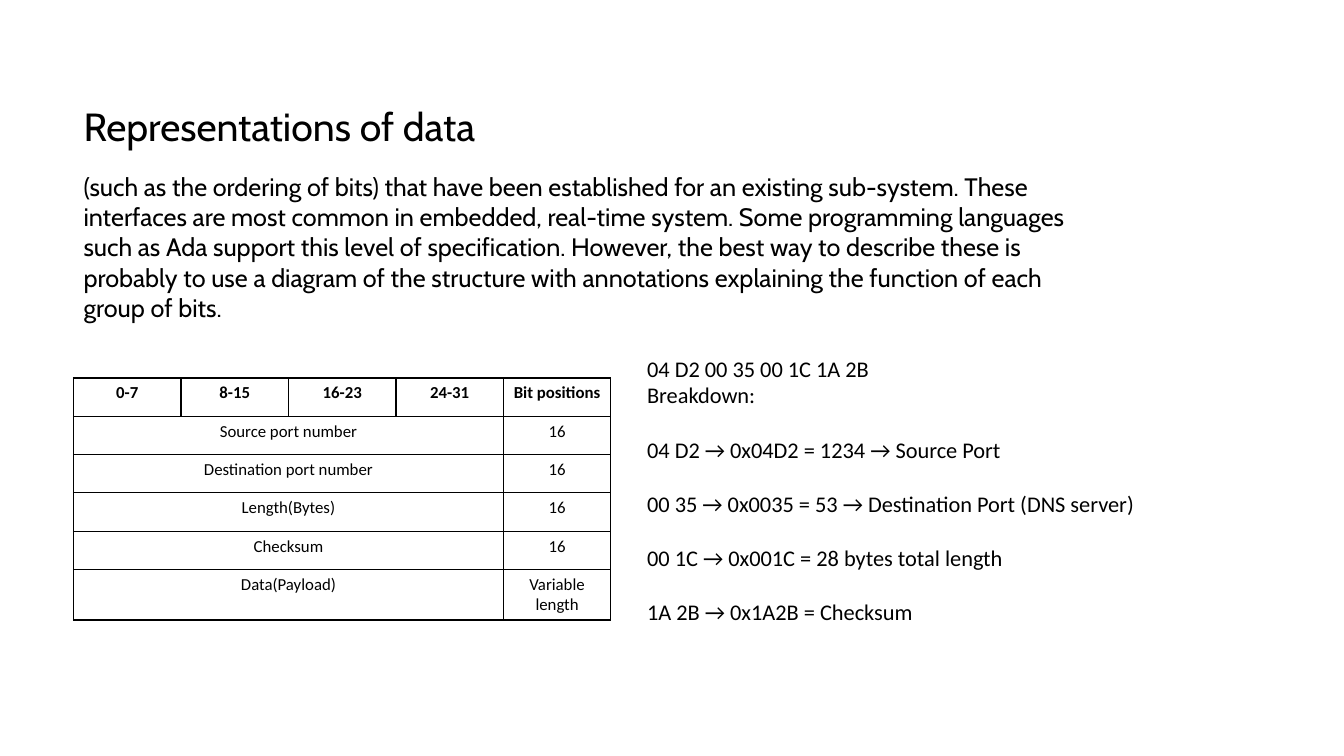
from lxml import etree
from pptx import Presentation, util as u
from pptx.dml.color import RGBColor
from pptx.enum import text
from pptx.oxml.ns import qn

THEME = dict(ink="000000", heading="Cabin", plain="Calibri",
             title=28, body=18, notes=16, cell=12, rule=1)
LEFT = 0.73

prs = Presentation()
prs.slide_width, prs.slide_height = u.Inches(13.33), u.Inches(7.5)
s = prs.slides.add_slide(prs.slide_layouts[6])


def write(tf, paragraphs, font, size, bold=False, align=None, gap_from=None):
    """Fill a text frame; paragraphs from index gap_from on get one line of space before."""
    tf.word_wrap = True
    for i, line in enumerate(paragraphs):
        p = tf.paragraphs[0] if i == 0 else tf.add_paragraph()
        p.alignment = align
        if gap_from and i >= gap_from:
            p.space_before = u.Pt(size * 1.22)
        r = p.add_run()
        r.text = line
        r.font.name, r.font.size, r.font.bold = font, u.Pt(size), bold
        r.font.color.rgb = RGBColor.from_string(THEME["ink"])


def draw_borders(cell):
    tcPr = cell._tc.get_or_add_tcPr()
    for side in ("lnL", "lnR", "lnT", "lnB"):
        ln = etree.SubElement(tcPr, qn(f"a:{side}"), w=str(u.Pt(THEME["rule"])))
        fill = etree.SubElement(ln, qn("a:solidFill"))
        etree.SubElement(fill, qn("a:srgbClr"), val=THEME["ink"])


description = (
    "(such as the ordering of bits) that have been established for an existing sub-system. "
    "These interfaces are most common in embedded, real-time system. Some programming "
    "languages such as Ada support this level of specification. However, the best way to "
    "describe these is probably to use a diagram of the structure with annotations "
    "explaining the function of each group of bits."
)
breakdown = [
    "04 D2 00 35 00 1C 1A 2B",
    "Breakdown:",
    "04 D2 → 0x04D2 = 1234 → Source Port",
    "00 35 → 0x0035 = 53 → Destination Port (DNS server)",
    "00 1C → 0x001C = 28 bytes total length",
    "1A 2B → 0x1A2B = Checksum",
]

# Text boxes
for box, lines, font, size, gap_from in [
    ((LEFT, 1.65, 10.25, 1.31), [description], THEME["heading"], THEME["body"], None),
    ((LEFT, 0.97, 4.82, 0.57), ["Representations of data"],
     THEME["heading"], THEME["title"], None),
    ((6.32, 3.47, 6.67, 2.79), breakdown, THEME["plain"], THEME["notes"], 2),
]:
    tf = s.shapes.add_textbox(*map(u.Inches, box)).text_frame
    tf.auto_size = text.MSO_AUTO_SIZE.SHAPE_TO_FIT_TEXT
    write(tf, lines, font, size, gap_from=gap_from)

# Datagram layout table
header = ["0-7", "8-15", "16-23", "24-31", "Bit positions"]
fields = [
    ("Source port number", "16"),
    ("Destination port number", "16"),
    ("Length(Bytes)", "16"),
    ("Checksum", "16"),
    ("Data(Payload)", "Variable length"),
]
n_rows, n_cols = len(fields) + 1, len(header)
last = n_cols - 1
table = s.shapes.add_table(n_rows, n_cols, u.Inches(LEFT), u.Inches(3.75),
                           u.Inches(5.33), u.Inches(0.38 * n_rows)).table
table.first_row = table.horz_banding = False

for cell in table.iter_cells():
    draw_borders(cell)
    cell.fill.background()

centred = dict(font=THEME["plain"], size=THEME["cell"], align=text.PP_ALIGN.CENTER)
for col, label in enumerate(header):
    write(table.cell(0, col).text_frame, [label], bold=True, **centred)
for row, (field, bits) in enumerate(fields, start=1):
    table.cell(row, 0).merge(table.cell(row, last - 1))
    write(table.cell(row, 0).text_frame, [field], **centred)
    write(table.cell(row, last).text_frame, [bits], **centred)

prs.save("out.pptx")
